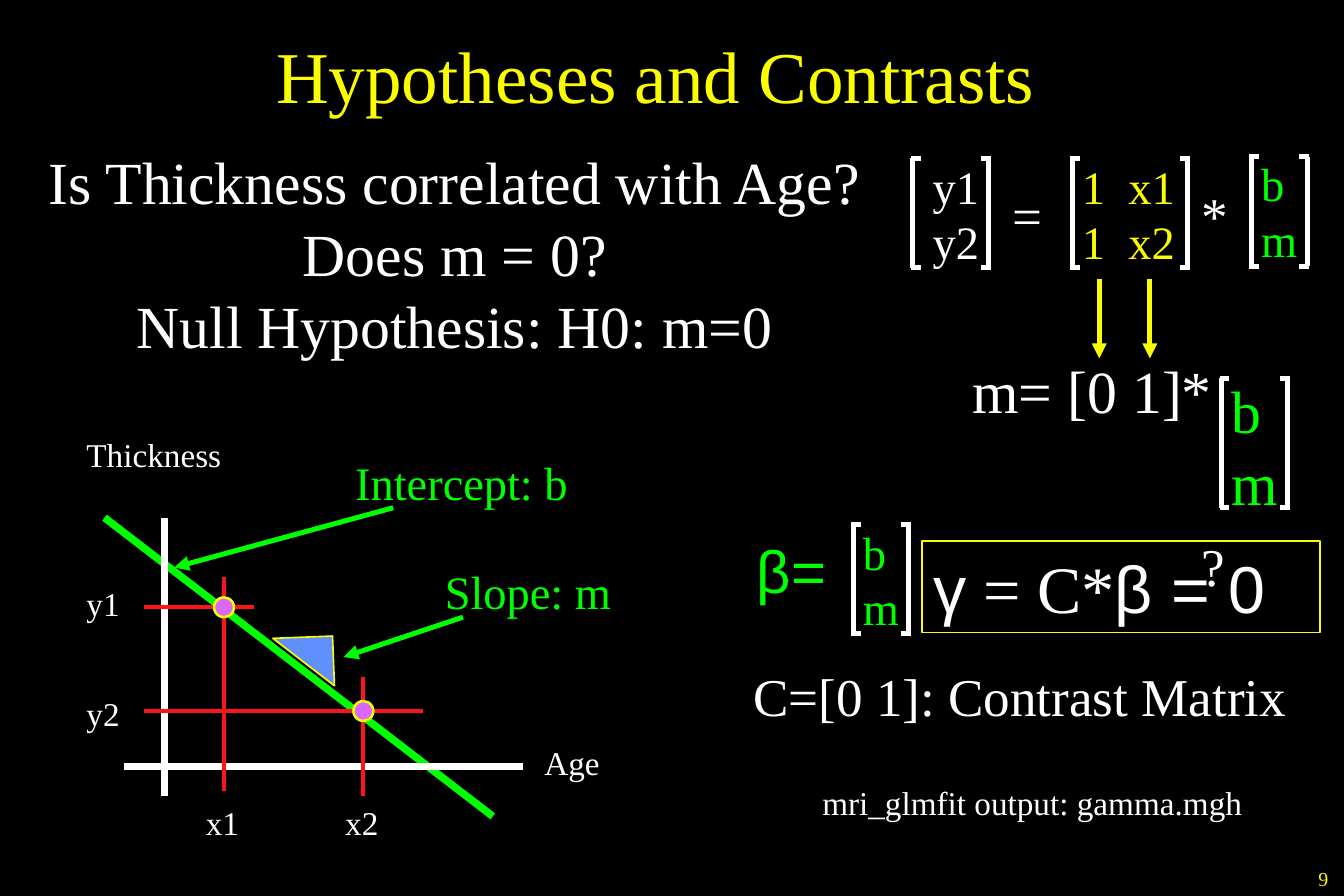
"""Build the slide on hypotheses and contrasts for a thickness and age model."""
import pptx
import pptx.dml.color
import pptx.enum.shapes
import pptx.enum.text
import pptx.oxml
import pptx.oxml.ns
import pptx.util

Pt = pptx.util.Pt
ALIGN = pptx.enum.text.PP_ALIGN
ANCHOR = pptx.enum.text.MSO_ANCHOR
SHAPES = pptx.enum.shapes.MSO_SHAPE
CONNECTOR = pptx.enum.shapes.MSO_CONNECTOR
SERIF, SANS = "Times New Roman", "Arial"
BLACK, WHITE, YELLOW, GREEN, RED = "000000", "FFFFFF", "FAFD00", "00FF00", "FD1414"
BLUE, VIOLET = "618FFD", "DA68FF"

TITLE = "Hypotheses and Contrasts"
QUESTIONS = ["Is Thickness correlated with Age?", "Does m = 0?", "Null Hypothesis: H0: m=0"]
COEFFICIENTS = ["b", "m"]

# lines, left, top, width, size, colour
LABELS = [
    (["Intercept: b"], 207, 270, 145, 28, GREEN),
    (["Slope: m"], 261, 336, 117, 28, GREEN),
    (["Thickness"], 45, 258, 98, 20, WHITE),
    (["Age"], 321, 444, 51, 20, WHITE),
    (["x1"], 117, 480, 36, 20, WHITE),
    (["x2"], 201, 480, 36, 20, WHITE),
    (["y1"], 45, 348, 36, 20, WHITE),
    (["y2"], 45, 414, 36, 20, WHITE),
    (["m= [0 1]*"], 579, 210, 162, 36, WHITE),
    (COEFFICIENTS, 735, 222, 45, 36, GREEN),
    (["?"], 717, 318, 31, 32, WHITE),
    (["C=[0 1]: Contrast Matrix"], 447, 396, 340, 32, WHITE),
    (COEFFICIENTS, 513, 312, 38, 28, GREEN),
    (["y1", "y2"], 555, 91.5, 45, 28, WHITE),
    (["1\tx1", "1\tx2"], 645, 91.5, 76, 28, YELLOW),
    (COEFFICIENTS, 753, 90, 38, 28, GREEN),
    (["="], 603, 106.5, 34, 32, WHITE),
    (["*"], 717, 106.5, 32, 32, WHITE),
    (["mri_glmfit output: gamma.mgh"], 488.5, 468, 272, 20, WHITE),
    (["9"], 787.5, 518.5, 22, 12, YELLOW),
]
BETA = [("β=", SANS)]
GAMMA = [("γ", SANS), (" = C*", SERIF), ("β = 0", SANS)]

# from x, from y, to x, to y, colour, width
FIT = (63, 312, 297, 492, GREEN, 4.5)
PLOT_LINES = [
    (99, 312, 99, 480, WHITE, 4.5),
    (75, 462, 315, 462, WHITE, 4.5),
    (135, 348, 135, 477, RED, 2.25),
    (87, 428.5, 255, 428.5, RED, 2.25),
    (87, 366, 153, 366, RED, 2.25),
    (219, 408, 219, 480, RED, 2.25),
]
ARROWS = [
    (237, 306, 105, 342, GREEN, 3),
    (279, 372, 207, 396, GREEN, 3),
    (662.5, 168, 662.5, 216, YELLOW, 3),
    (693, 168, 693, 216, YELLOW, 3),
]
POINTS = [(135, 366), (219, 428.5)]
POINT_SIZE = 12

# left, top, right, bottom
BRACKETS = [
    (549, 95.5, 597, 161.5),
    (645, 95.5, 717, 161.5),
    (753, 94.5, 789, 160.5),
    (513, 316, 549, 382),
    (735, 228, 777.5, 306),
]
TICK, OVERHANG = 6, 1.25
TAB_STOP = 28


def colour(code):
    return pptx.dml.color.RGBColor.from_string(code)


def apply(target, values):
    for name, value in values.items():
        setattr(target, name, value)


def element(tag, attributes="", inner=""):
    names = pptx.oxml.ns.nsdecls("a")
    return pptx.oxml.parse_xml(f"<a:{tag} {names} {attributes}>{inner}</a:{tag}>")


def add_line(slide, x1, y1, x2, y2, code, width, arrow=False):
    line = slide.shapes.add_connector(CONNECTOR.STRAIGHT, Pt(x1), Pt(y1), Pt(x2), Pt(y2))
    line.line.color.rgb = colour(code)
    line.line.width = Pt(width)
    if arrow:
        line.line._get_or_add_ln().append(element("tailEnd", 'type="triangle"'))
    line._element.spPr.append(element("effectLst"))


def write(para, spans, size, code):
    for text, font in spans:
        span = para.add_run()
        span.text = text
        apply(span.font, {"name": font, "size": Pt(size)})
        span.font.color.rgb = colour(code)


def add_text(slide, paragraphs, left, top, width, size, code, align=ALIGN.LEFT):
    height = len(paragraphs) * size * 1.2 + 7.2
    box = slide.shapes.add_textbox(Pt(left), Pt(top), Pt(width), Pt(height))
    box.text_frame.word_wrap = True
    for index, spans in enumerate(paragraphs):
        para = box.text_frame.add_paragraph() if index else box.text_frame.paragraphs[0]
        para.alignment = align
        if any("\t" in text for text, font in spans):
            stop = f'<a:tab pos="{Pt(TAB_STOP)}" algn="l"/>'
            para._p.get_or_add_pPr().append(element("tabLst", inner=stop))
        write(para, spans, size, code)
    return box


def add_shape(slide, kind, left, top, width, height, fill, line_width):
    shape = slide.shapes.add_shape(kind, Pt(left), Pt(top), Pt(width), Pt(height))
    shape.shadow.inherit = False
    shape.fill.solid()
    shape.fill.fore_color.rgb = colour(fill)
    shape.line.color.rgb = colour(YELLOW)
    shape.line.width = Pt(line_width)
    return shape


def add_bracket(slide, left, top, right, bottom):
    for edge, inward in ((left, 1), (right, -1)):
        stem = edge + inward * OVERHANG
        add_line(slide, stem, top, stem, bottom, WHITE, 3)
        for y in (top, bottom):
            add_line(slide, edge, y, edge + inward * TICK, y, WHITE, 3)


def add_title(slide):
    title = slide.shapes.title
    apply(title, {"left": Pt(51), "top": Pt(0), "width": Pt(688.5), "height": Pt(90)})
    apply(title.text_frame, {"vertical_anchor": ANCHOR.MIDDLE, "word_wrap": True})
    para = title.text_frame.paragraphs[0]
    para.alignment = ALIGN.CENTER
    write(para, [(TITLE, SERIF)], 44, YELLOW)


def add_plot(slide):
    add_line(slide, *FIT)
    triangle = add_shape(slide, SHAPES.RIGHT_TRIANGLE, 165, 384, 36, 30, BLUE, 1)
    triangle.rotation = 177.8
    for line in PLOT_LINES:
        add_line(slide, *line)
    for x, y in POINTS:
        add_shape(slide, SHAPES.OVAL, x - POINT_SIZE / 2, y - POINT_SIZE / 2,
                  POINT_SIZE, POINT_SIZE, VIOLET, 1.5)


def main():
    deck = pptx.Presentation()
    apply(deck, {"slide_width": Pt(810), "slide_height": Pt(540)})
    page = deck.slides.add_slide(deck.slide_layouts[5])
    page.background.fill.solid()
    page.background.fill.fore_color.rgb = colour(BLACK)
    add_title(page)
    add_text(page, [[(text, SERIF)] for text in QUESTIONS], 19, 84, 510, 36, WHITE, ALIGN.CENTER)
    add_plot(page)
    add_text(page, [BETA], 449, 318, 65, 36, GREEN)
    gamma = add_text(page, [GAMMA], 555.5, 326, 240, 40, WHITE)
    gamma.line.color.rgb = colour(YELLOW)
    gamma.line.width = Pt(1)
    for lines, *place in LABELS:
        add_text(page, [[(text, SERIF)] for text in lines], *place)
    for bracket in BRACKETS:
        add_bracket(page, *bracket)
    for arrow in ARROWS:
        add_line(page, *arrow, arrow=True)
    deck.save("out.pptx")


if __name__ == "__main__":
    main()
